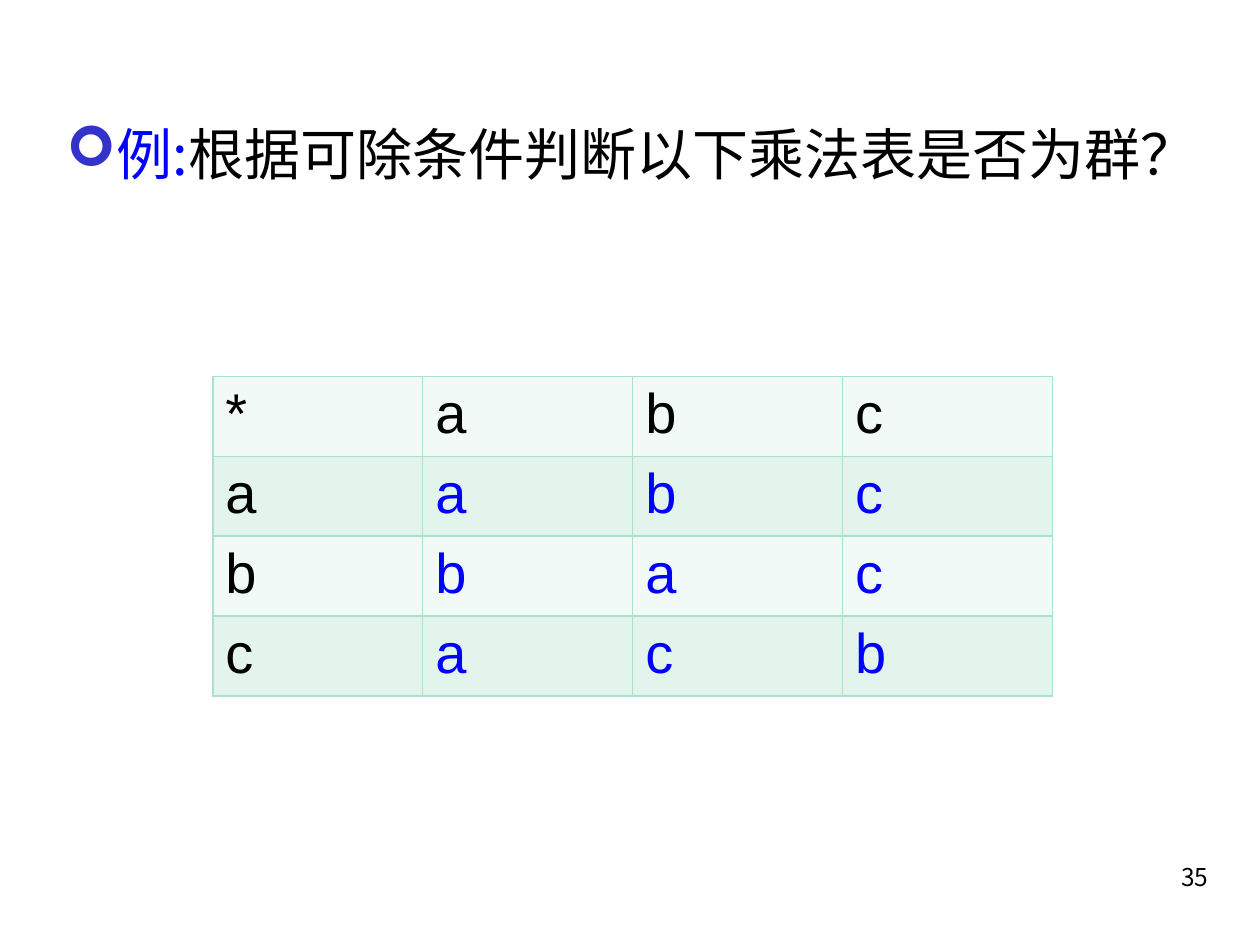
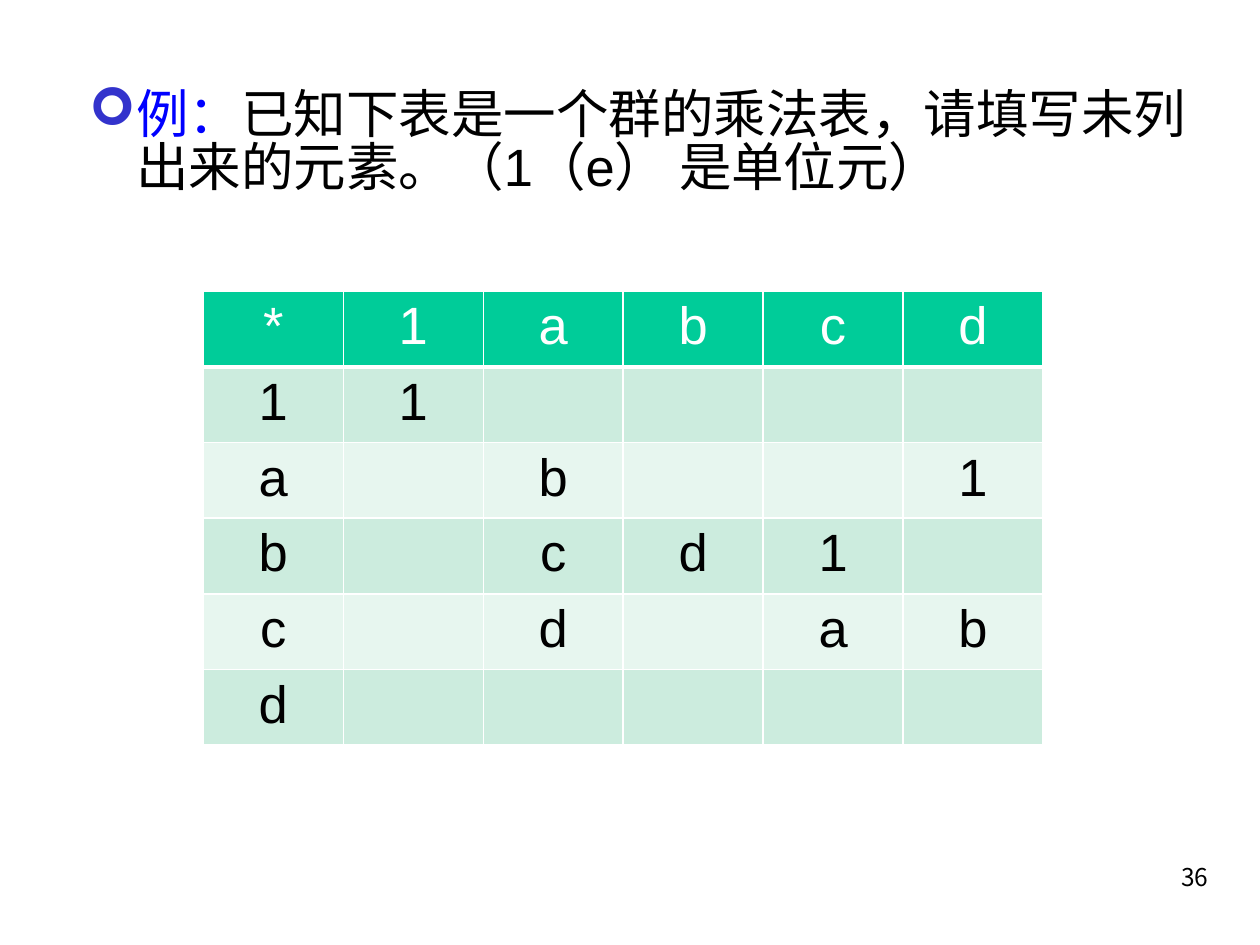
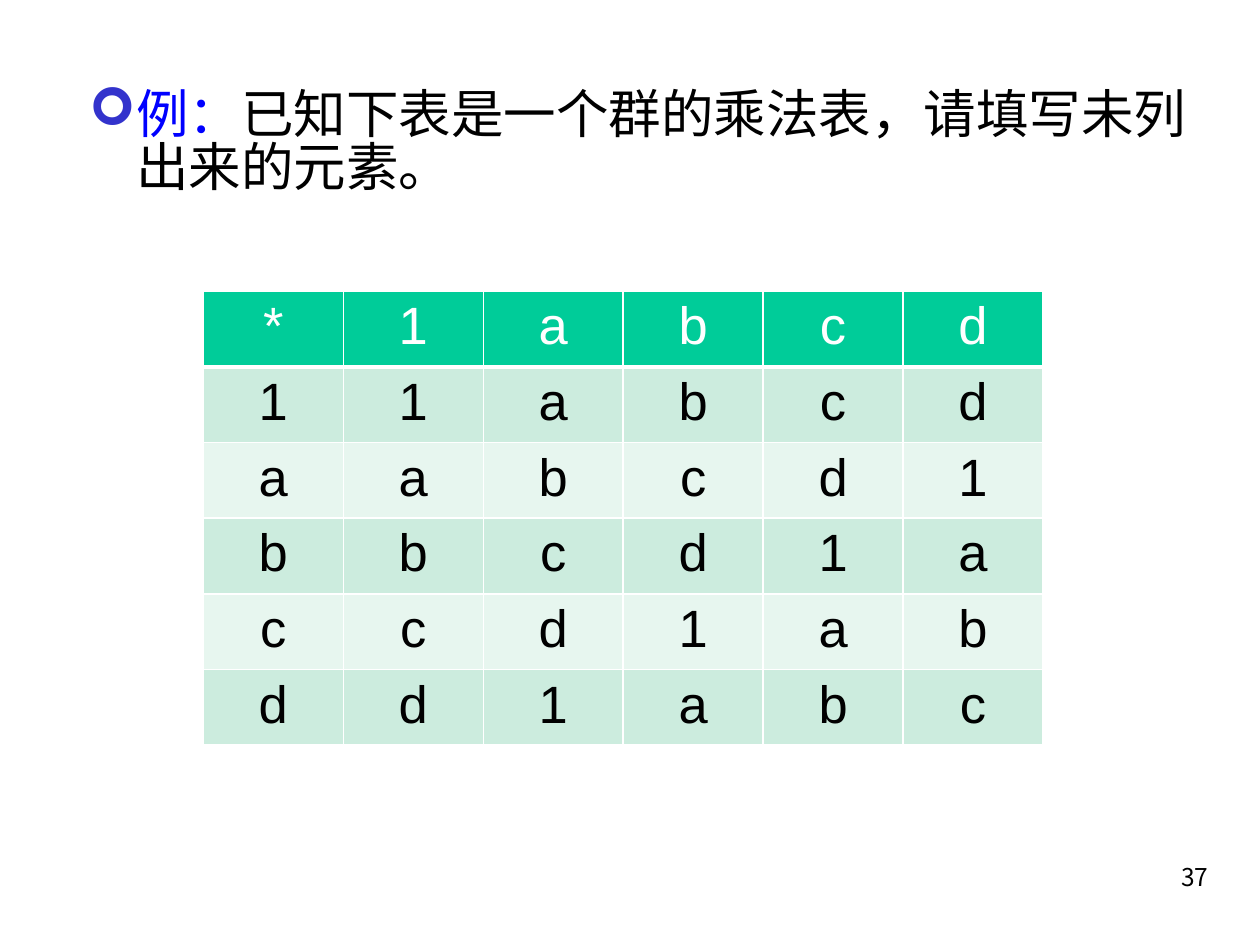
import dataclasses

import lxml.etree
import pptx
import pptx.dml.color
import pptx.enum.text
import pptx.oxml.ns
import pptx.util
from pptx.util import Cm

ALIGN = pptx.enum.text.PP_ALIGN


@dataclasses.dataclass(frozen=True)
class Theme:
    black: str = "000000"
    white: str = "FFFFFF"
    blue: str = "0000FF"
    bullet: str = "3333CC"
    green: str = "00CC99"
    bands: tuple = ("E7F6EF", "CCECDE")
    pale_bands: tuple = ("F1FAF6", "E2F4EC")
    pale_line: str = "AAE2CA"
    large: int = 32
    medium: int = 30
    small: int = 14
    latin: str = "Arial"
    chinese: str = "Noto Sans CJK SC"
    number: str = "Noto Sans CJK KR"


THEME = Theme()


def rgb(color):
    return pptx.dml.color.RGBColor.from_string(color)


def add_element(parent, tag, **attributes):
    return lxml.etree.SubElement(parent, pptx.oxml.ns.qn(tag), attributes)


def set_font(para, size, name, color=THEME.black, east_asian=None):
    para.font.size = pptx.util.Pt(size)
    para.font.name = name
    para.font.color.rgb = rgb(color)
    if east_asian:
        add_element(para.font._element, "a:ea", typeface=east_asian)


def add_text_box(page, left, top, width, height):
    box = page.shapes.add_textbox(Cm(left), Cm(top), Cm(width), Cm(height))
    box.text_frame.word_wrap = True
    return box.text_frame.paragraphs[0]


def add_bullet(para):
    properties = para._p.get_or_add_pPr()
    indent = Cm(0.95)
    properties.set("marL", str(indent))
    properties.set("indent", str(-indent))
    color = add_element(properties, "a:buClr")
    add_element(color, "a:srgbClr", val=THEME.bullet)
    add_element(properties, "a:buFont", typeface="Wingdings")
    add_element(properties, "a:buChar", char="➢")


def add_question(page, place, label, question, size, latin):
    para = add_text_box(page, *place)
    para.line_spacing = 0.83
    add_bullet(para)
    set_font(para, size, latin, east_asian=THEME.chinese)
    for text, color in ((label, THEME.blue), (question, THEME.black)):
        span = para.add_run()
        span.text = text
        span.font.color.rgb = rgb(color)


def add_page_number(page, number):
    para = add_text_box(page, 19.33, 17.35, 5.28, 1.27)
    para.alignment = ALIGN.RIGHT
    para.line_spacing = 0.83
    para.text = str(number)
    set_font(para, THEME.small, THEME.number, east_asian=THEME.number)


def set_borders(cell, color, widths):
    properties = cell._tc.get_or_add_tcPr()
    for side, width in zip("LRTB", widths):
        line = add_element(properties, f"a:ln{side}", w=str(pptx.util.Pt(width)))
        fill = add_element(line, "a:solidFill")
        add_element(fill, "a:srgbClr", val=color)


def fill_cell(cell, text, fill, color, size, alignment):
    cell.fill.solid()
    cell.fill.fore_color.rgb = rgb(fill)
    para = cell.text_frame.paragraphs[0]
    para.text = text
    para.alignment = alignment
    set_font(para, size, THEME.latin, color)


def add_grid(page, rows, left, top, width, height):
    frame = page.shapes.add_table(
        len(rows), len(rows[0]), Cm(left), Cm(top), Cm(width), Cm(height))
    table = frame.table
    table.first_row = False
    table.horz_banding = False
    return table


def add_candidate_table(page, rows):
    table = add_grid(page, rows, 4.29, 7.59, 16.93, 6.43)
    for i, row in enumerate(rows):
        for j, text in enumerate(row):
            cell = table.cell(i, j)
            color = THEME.blue if i and j else THEME.black
            set_borders(cell, THEME.pale_line, (1, 1, 1, 1))
            fill_cell(cell, text, THEME.pale_bands[i % 2], color, THEME.large, ALIGN.LEFT)


def add_group_table(page, rows):
    table = add_grid(page, rows, 4.1, 5.87, 16.93, 9.14)
    for i, row in enumerate(rows):
        fill = THEME.bands[i % 2] if i else THEME.green
        color = THEME.black if i else THEME.white
        top, bottom = {0: (1, 3), 1: (3, 1)}.get(i, (1, 1))
        for j, text in enumerate(row):
            cell = table.cell(i, j)
            set_borders(cell, THEME.white, (1, 1, top, bottom))
            fill_cell(cell, text.strip(), fill, color, THEME.medium, ALIGN.CENTER)


def add_page(deck, number):
    page = deck.slides.add_slide(deck.slide_layouts[6])
    add_page_number(page, number)
    return page


def add_group_page(deck, number, question, rows, latin):
    page = add_page(deck, number)
    add_question(page, (1.55, 1.73, 23.06, 14.48), "例：", question, THEME.medium, latin)
    add_group_table(page, rows)


def main():
    deck = pptx.Presentation()
    deck.slide_width = Cm(25.4)
    deck.slide_height = Cm(19.05)

    page = add_page(deck, 35)
    add_question(page, (1.09, 2.51, 24, 14.27), "例:",
                 "根据可除条件判断以下乘法表是否为群？", THEME.large, THEME.chinese)
    add_candidate_table(page, ["*abc", "aabc", "bbac", "cacb"])

    question = "已知下表是一个群的乘法表，请填写未列出来的元素。"
    add_group_page(deck, 36, question + "（1（e） 是单位元）",
                   ["*1abcd", "11    ", "a b  1", "b cd1 ", "c d ab", "d     "],
                   THEME.latin)

    elements = "1abcd"
    products = [element + elements[i:] + elements[:i] for i, element in enumerate(elements)]
    add_group_page(deck, 37, question, ["*" + elements] + products, THEME.chinese)

    deck.save("out.pptx")


if __name__ == "__main__":
    main()
